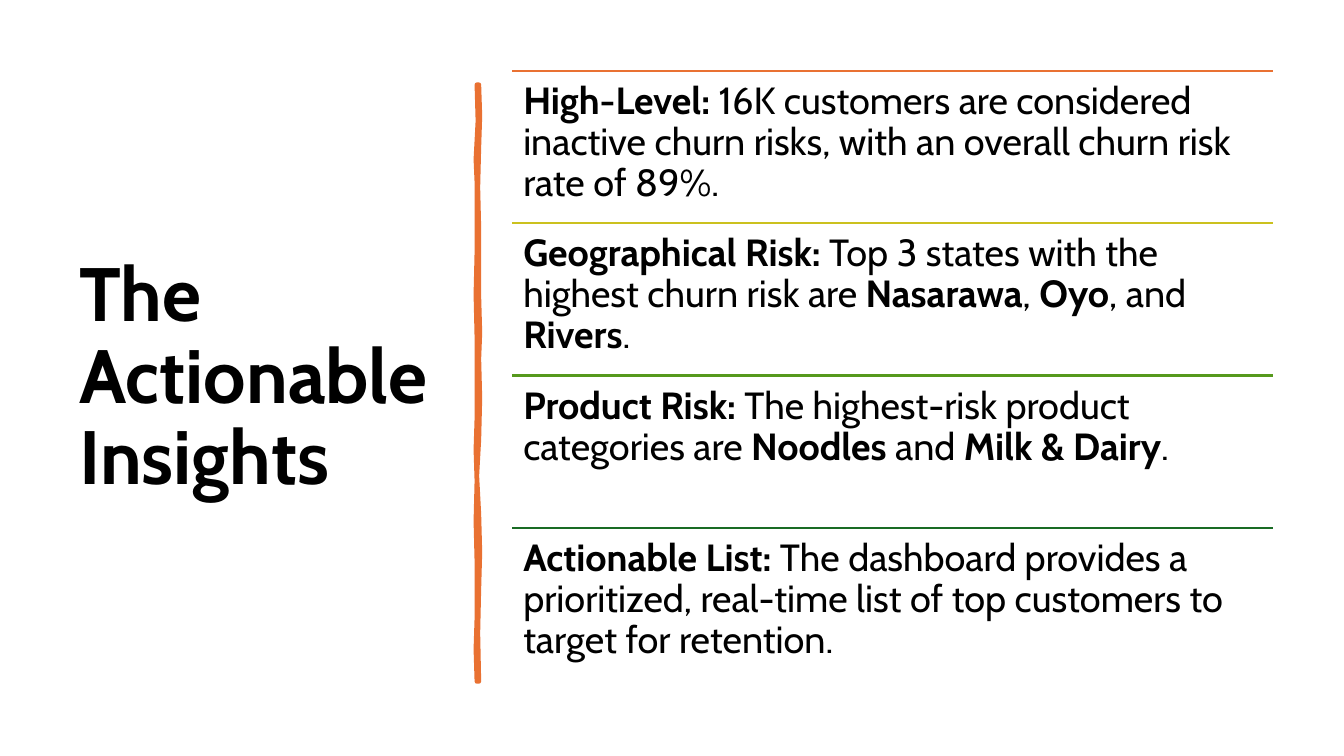
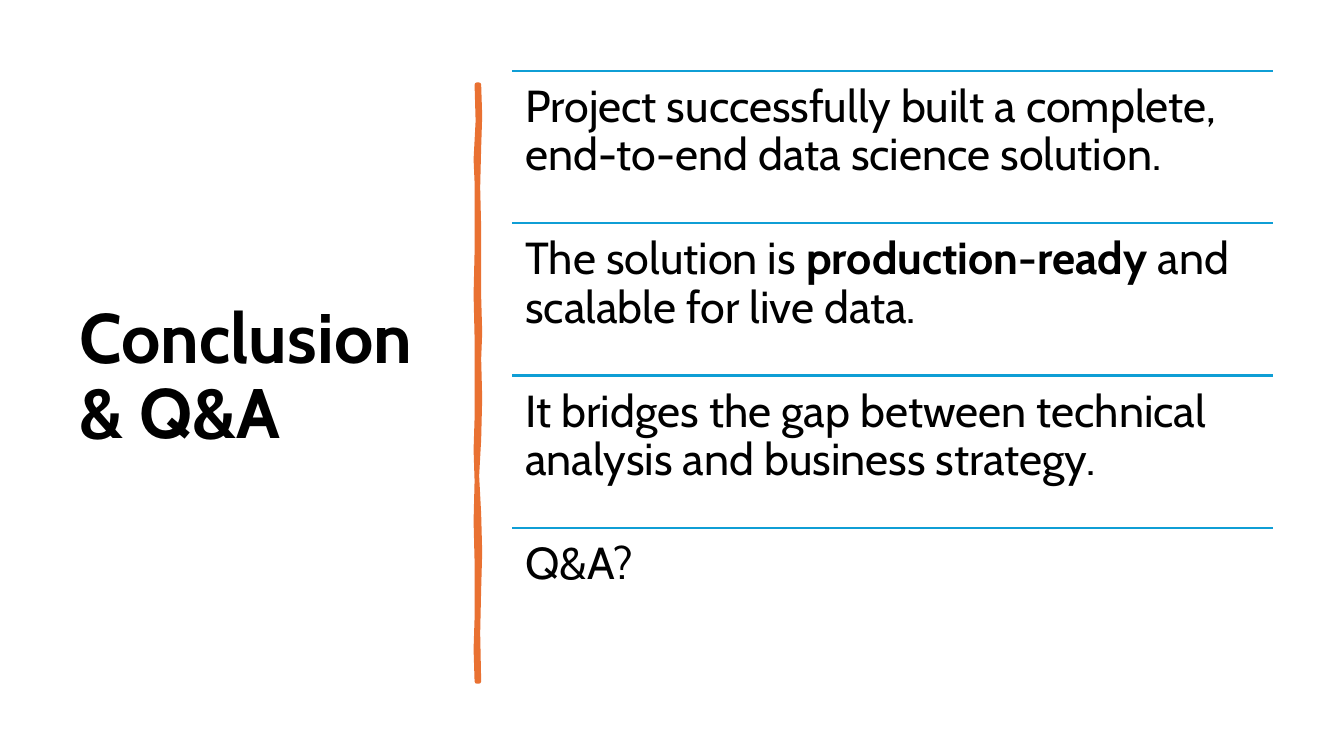
from dataclasses import dataclass

from lxml.etree import SubElement
from pptx import Presentation as new_presentation
from pptx.dml.color import RGBColor
from pptx.enum.shapes import MSO_CONNECTOR as Connector
from pptx.enum.text import MSO_ANCHOR as Anchor, MSO_AUTO_SIZE as AutoSize
from pptx.oxml.ns import qn
from pptx.presentation import Presentation
from pptx.slide import Slide
from pptx.util import Inches, Pt

FONT = "Cabin"
BLACK = "000000"
WHITE = "FFFFFF"
ORANGE = "E97132"
YELLOW = "CBC11E"
GREEN = "56991D"
DARK_GREEN = "196B24"
BLUE = "0F9ED5"

BOLD_MARK = "**"
LIST_LEFT, LIST_TOP = 5.08, 0.7
LIST_WIDTH, LIST_HEIGHT = 7.55, 6.05

BRUSH_RIGHT = [
    (4.75, 0.84), (4.76, 1.15), (4.75, 1.46), (4.74, 1.86), (4.75, 2.26),
    (4.75, 2.94), (4.76, 3.3), (4.75, 3.56), (4.76, 3.95), (4.75, 4.36),
    (4.73, 4.72), (4.75, 5.1), (4.76, 5.48), (4.75, 5.84), (4.74, 6.28),
    (4.75, 6.76),
]
BRUSH_LEFT = [
    (4.73, 6.76), (4.72, 6.44), (4.73, 6.13), (4.73, 5.57), (4.72, 5.17),
    (4.73, 4.77), (4.72, 4.46), (4.73, 4.15), (4.73, 3.35), (4.72, 2.92),
    (4.73, 2.5), (4.73, 1.81), (4.72, 1.58), (4.74, 1.2), (4.73, 0.84),
]


@dataclass(frozen=True)
class Box:
    left: float
    top: float
    width: float
    height: float


@dataclass(frozen=True)
class TextStyle:
    size: float
    inset_x: float
    inset_y: float
    anchor: Anchor = Anchor.TOP


@dataclass(frozen=True)
class Point:
    text: str
    rule_color: str


@dataclass(frozen=True)
class Page:
    title: str
    title_size: float
    body_style: TextStyle
    points: list[Point]


TITLE_BOX = Box(0.69, 0.7, 3.74, 6.11)

PAGES = [
    Page("The Actionable Insights", 54, TextStyle(27, 0.11, 0.11), [
        Point("**High-Level:** 16K customers are considered inactive churn "
              "risks, with an overall churn risk rate of 89%.", ORANGE),
        Point("**Geographical Risk:** Top 3 states with the highest churn "
              "risk are **Nasarawa**, **Oyo**, and **Rivers**.", YELLOW),
        Point("**Product Risk:** The highest-risk product categories are "
              "**Noodles** and **Milk & Dairy**.", GREEN),
        Point("**Actionable List:** The dashboard provides a prioritized, "
              "real-time list of top customers to target for retention.",
              DARK_GREEN),
    ]),
    Page("Conclusion & Q&A", 50, TextStyle(32, 0.13, 0.13), [
        Point("Project successfully built a complete, end-to-end data "
              "science solution.", BLUE),
        Point("The solution is **production-ready** and scalable for live "
              "data.", BLUE),
        Point("It bridges the gap between technical analysis and business "
              "strategy.", BLUE),
        Point("Q&A?", BLUE),
    ]),
]


def color(value: str) -> RGBColor:
    return RGBColor.from_string(value)


def add_text(slide: Slide, box: Box, text: str, style: TextStyle) -> None:
    shape = slide.shapes.add_textbox(
        Inches(box.left), Inches(box.top), Inches(box.width), Inches(box.height))
    frame = shape.text_frame
    frame.word_wrap = True
    frame.auto_size = AutoSize.NONE
    frame.vertical_anchor = style.anchor
    frame.margin_left = frame.margin_right = Inches(style.inset_x)
    frame.margin_top = frame.margin_bottom = Inches(style.inset_y)
    paragraph = frame.paragraphs[0]
    paragraph.line_spacing = 0.9
    for index, part in enumerate(text.split(BOLD_MARK)):
        if part:
            run = paragraph.add_run()
            run.text = part
            run.font.name = FONT
            run.font.size = Pt(style.size)
            run.font.bold = index % 2 == 1
            run.font.color.rgb = color(BLACK)


def add_rule(slide: Slide, top: float, rule_color: str) -> None:
    rule = slide.shapes.add_connector(
        Connector.STRAIGHT, Inches(LIST_LEFT), Inches(top),
        Inches(LIST_LEFT + LIST_WIDTH), Inches(top))
    rule.line.color.rgb = color(rule_color)
    rule.line.width = Pt(1.5)
    SubElement(rule._element.spPr, qn("a:effectLst"))


def add_brush_stroke(slide: Slide) -> None:
    start, *rest = [(Inches(x), Inches(y)) for x, y in BRUSH_RIGHT + BRUSH_LEFT]
    builder = slide.shapes.build_freeform(*start)
    builder.add_line_segments(rest, close=True)
    stroke = builder.convert_to_shape()
    stroke.shadow.inherit = False
    stroke.fill.solid()
    stroke.fill.fore_color.rgb = color(ORANGE)
    stroke.line.color.rgb = color(ORANGE)
    stroke.line.width = Pt(3.25)


def add_page(presentation: Presentation, page: Page) -> None:
    slide = presentation.slides.add_slide(presentation.slide_layouts[6])
    slide.background.fill.solid()
    slide.background.fill.fore_color.rgb = color(WHITE)
    title_style = TextStyle(page.title_size, 0.1, 0.05, Anchor.MIDDLE)
    add_text(slide, TITLE_BOX, BOLD_MARK + page.title, title_style)
    add_brush_stroke(slide)
    row_height = LIST_HEIGHT / len(page.points)
    for index, point in enumerate(page.points):
        top = LIST_TOP + index * row_height
        add_rule(slide, top, point.rule_color)
        row = Box(LIST_LEFT, top, LIST_WIDTH, row_height)
        add_text(slide, row, point.text, page.body_style)


def main() -> None:
    presentation = new_presentation()
    presentation.slide_width = Inches(13.33)
    presentation.slide_height = Inches(7.5)
    for page in PAGES:
        add_page(presentation, page)
    presentation.save("out.pptx")


if __name__ == "__main__":
    main()
